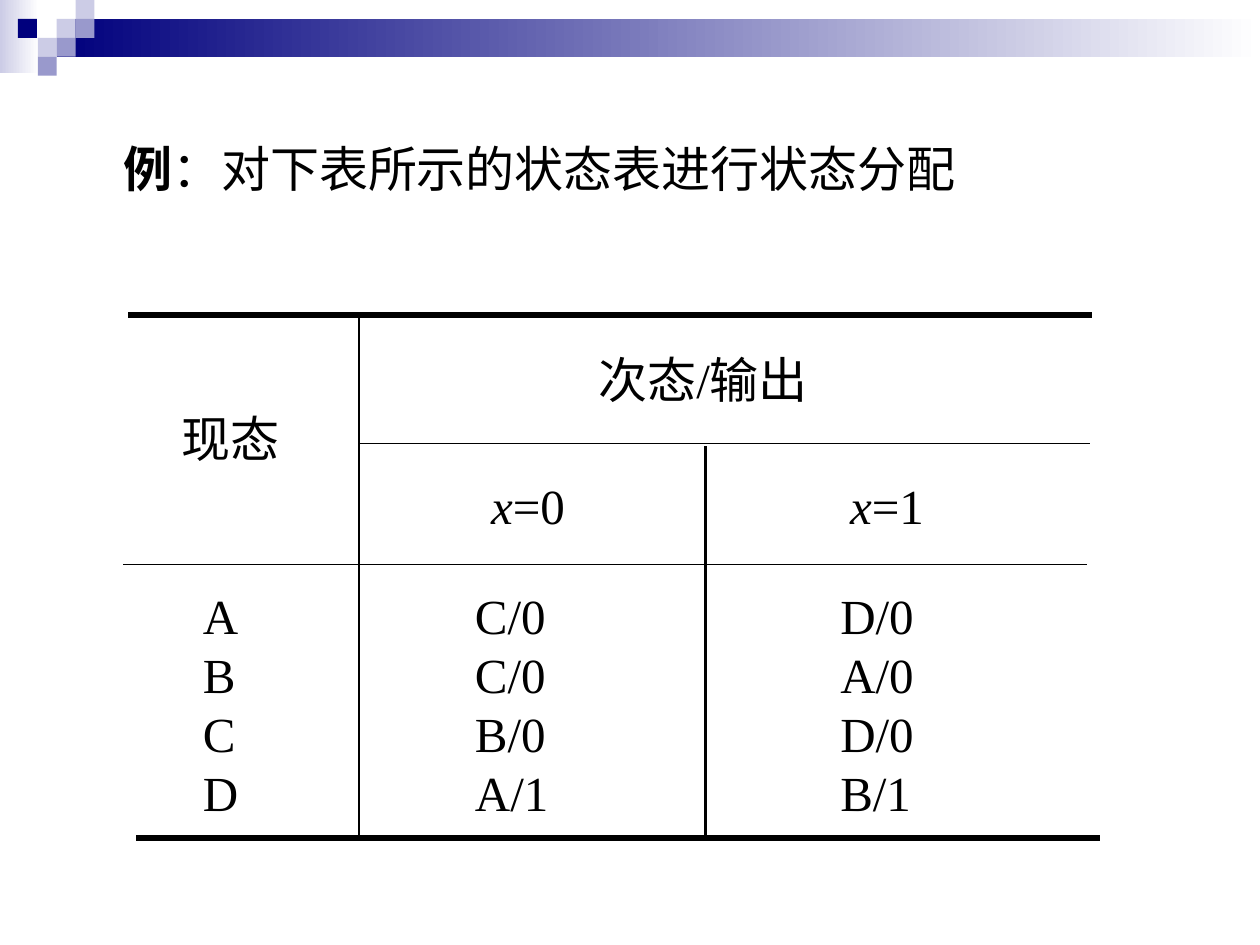
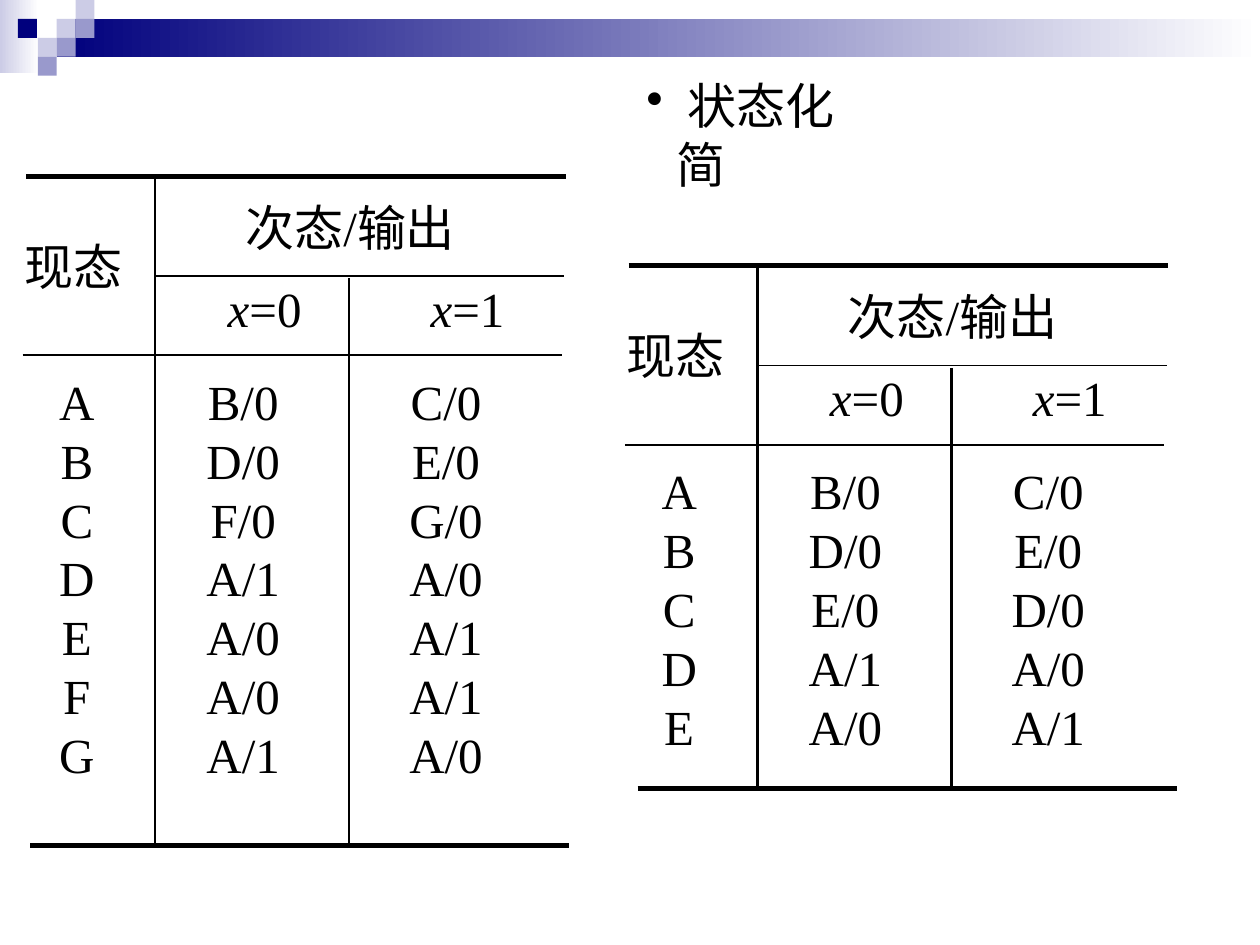
import itertools

import pptx
import pptx.dml.color
import pptx.enum.shapes
import pptx.enum.text
import pptx.oxml
import pptx.oxml.ns
import pptx.util

# Content: a run is (text, extra font format)
COLOURS = {"ink": "000000", "navy": "00007D", "mid": "9999CC", "pale": "CCCCE6", "white": "FFFFFF"}
FONT = {"name": "Times New Roman", "size": pptx.util.Pt(28), "bold": False}

EXAMPLE_TITLE = [("例", {"bold": True}), ("：对下表所示的状态表进行状态分配", {})]
REDUCTION_TITLE = [(" 状态化简", {})]

PRESENT, NEXT = [("现态", {})], [("次态/输出", {})]
INPUTS = [[("x", {"italic": True}), (f"={value}", {})] for value in (0, 1)]

ASSIGNED_STATES = [("A", "C/0", "D/0"), ("B", "C/0", "A/0"), ("C", "B/0", "D/0"), ("D", "A/1", "B/1")]
FULL_STATES = [
    ("A", "B/0", "C/0"), ("B", "D/0", "E/0"), ("C", "F/0", "G/0"), ("D", "A/1", "A/0"),
    ("E", "A/0", "A/1"), ("F", "A/0", "A/1"), ("G", "A/1", "A/0"),
]
REDUCED_STATES = [
    ("A", "B/0", "C/0"), ("B", "D/0", "E/0"), ("C", "E/0", "D/0"), ("D", "A/1", "A/0"),
    ("E", "A/0", "A/1"),
]

# Table grids in inches: "centres" holds text centres, "starts" holds left text edges,
# "pads" holds the space below the two headings and above and below the inputs
WIDE_GRID = {
    "columns": (1.87, 2.75, 3.03), "headers": (1.02, 0.96), "lead": 0.21, "top_shift": 0.04,
    "pads": {"present": 0.06, "next": 0.04, "above": 0.06, "below": 0},
    "present": 0.85, "next": 4.6, "inputs": (3.21, 6.06), "starts": (0.63, 2.79, 5.69),
}
NARROW_GRID = {
    "columns": (1.05, 1.54, 1.69), "headers": (0.79, 0.63), "lead": 0.17, "top_shift": 0.03,
    "pads": {"present": 0.03, "next": 0.02, "above": 0, "below": 0.08},
    "present": 0.4, "next": 2.6, "inputs": (1.92, 3.53), "centres": (0.43, 1.75, 3.36),
}
LINE_STEP = 0.467
RULE_GAP = 0.02
RULES = {"outer": 3, "upright": 1.5, "inner": 1}

# Corner pattern on a square grid: column, row, colour
TILE = 0.15
BANDS = [((0, 0, 0.31, 0.58), "pale"), ((3 * TILE, TILE, 10 - 3 * TILE, 2 * TILE), "navy")]
TILES = [(3, 1, "pale"), (4, 0, "pale"), (4, 1, "mid"), (2, 2, "pale"),
         (0.95, 1, "navy"), (3, 2, "mid"), (2, 3, "mid")]

inch = pptx.util.Inches


def rgb(colour):
    return pptx.dml.color.RGBColor.from_string(COLOURS[colour])


def apply(target, formats):
    for attribute, value in formats.items():
        setattr(target, attribute, value)


def write(paragraph, runs):
    for text, extra in runs:
        run = paragraph.add_run()
        run.text = text
        apply(run.font, {**FONT, **extra})
        run.font.color.rgb = rgb("ink")


def add_band(slide, layout, box, colour, fades=False):
    band = slide.shapes.add_shape(pptx.enum.shapes.MSO_SHAPE.RECTANGLE, *map(inch, box))
    band.shadow.inherit = False
    band.line.fill.background()
    if fades:
        band.fill.gradient()
        band.fill.gradient_angle = 0
        for stop, shade in zip(band.fill.gradient_stops, (colour, "white")):
            stop.color.rgb = rgb(shade)
    else:
        band.fill.solid()
        band.fill.fore_color.rgb = rgb(colour)
    layout.shapes.element.append(band.element)  # shared by every slide of the layout


def add_title(slide, runs, box, bullet_indent=0):
    title = slide.shapes.title
    apply(title, dict(zip(("left", "top", "width", "height"), map(inch, box))))
    apply(title.text_frame, {
        "word_wrap": True,
        "auto_size": pptx.enum.text.MSO_AUTO_SIZE.NONE,
        "vertical_anchor": pptx.enum.text.MSO_ANCHOR.TOP,
    })
    paragraph = title.text_frame.paragraphs[0]
    paragraph.alignment = pptx.enum.text.PP_ALIGN.LEFT
    if bullet_indent:
        properties = paragraph._p.get_or_add_pPr()
        properties.set("marL", str(inch(bullet_indent)))
        properties.set("indent", str(-inch(bullet_indent)))
        properties.append(pptx.oxml.parse_xml(
            f'<a:buChar {pptx.oxml.ns.nsdecls("a")} char="•"/>'))
    write(paragraph, runs)


def add_rule(slide, kind, start, end):
    rule = slide.shapes.add_connector(pptx.enum.shapes.MSO_CONNECTOR.STRAIGHT,
                                      *map(inch, (*start, *end)))
    rule.line.width = pptx.util.Pt(RULES[kind])
    rule.line.color.rgb = rgb("ink")
    rule.element.spPr.append(pptx.oxml.parse_xml(
        f'<a:effectLst {pptx.oxml.ns.nsdecls("a")}/>'))


def clear_cell(cell):
    """No fill and no borders: the rules are drawn on their own, slightly staggered."""
    cell.fill.background()
    properties = cell._tc.get_or_add_tcPr()
    for place, side in enumerate("LRTB"):
        properties.insert(place, pptx.oxml.parse_xml(
            f'<a:ln{side} {pptx.oxml.ns.nsdecls("a")} w="0"><a:noFill/></a:ln{side}>'))


def fill_cell(cell, runs, edges, centre=None, start=None, top=0, bottom=0, anchor="MIDDLE"):
    """Margins put the text at the centre or the start asked for."""
    left, right = edges
    if start is None:
        shift = 2 * centre - left - right
        margins, align = (max(shift, 0), max(-shift, 0)), "CENTER"
    else:
        margins, align = (start - left, 0), "LEFT"
    apply(cell, {
        "margin_left": inch(margins[0]), "margin_right": inch(margins[1]),
        "margin_top": inch(top), "margin_bottom": inch(bottom),
        "vertical_anchor": getattr(pptx.enum.text.MSO_ANCHOR, anchor),
    })
    paragraph = cell.text_frame.paragraphs[0]
    paragraph.alignment = getattr(pptx.enum.text.PP_ALIGN, align)
    write(paragraph, runs)


def add_state_table(slide, states, grid, left, top, bottom, bottom_shift):
    heights = list(grid["headers"]) + [LINE_STEP] * len(states)
    heights[2] += grid["lead"]
    heights[-1] += bottom - top - sum(heights)
    edges = [0, *itertools.accumulate(grid["columns"])]
    pads = grid["pads"]

    # Rules
    first, second, right = [left + edge for edge in edges[1:]]
    input_top = top + heights[0]
    state_top = input_top + heights[1]
    for level, shift, kind in ((top, grid["top_shift"], "outer"), (bottom, bottom_shift, "outer"),
                               (state_top, 0, "inner")):
        add_rule(slide, kind, (left + shift, level), (right + shift, level))
    add_rule(slide, "inner", (first, input_top), (right + RULE_GAP, input_top))
    add_rule(slide, "upright", (first, top), (first, bottom))
    add_rule(slide, "upright", (second, input_top + RULE_GAP), (second, bottom))

    # Grid
    table = slide.shapes.add_table(len(heights), 3, inch(left), inch(top),
                                   inch(edges[-1]), inch(bottom - top)).table
    apply(table, {"first_row": False, "horz_banding": False})
    for column, width in zip(table.columns, grid["columns"]):
        column.width = inch(width)
    for row, height in zip(table.rows, heights):
        row.height = inch(height)
    for cell in table.iter_cells():
        clear_cell(cell)

    # Headings
    table.cell(0, 0).merge(table.cell(1, 0))
    table.cell(0, 1).merge(table.cell(0, 2))
    fill_cell(table.cell(0, 0), PRESENT, edges[:2], grid["present"], bottom=pads["present"])
    fill_cell(table.cell(0, 1), NEXT, (edges[1], edges[3]), grid["next"], bottom=pads["next"])
    for column, (label, centre) in enumerate(zip(INPUTS, grid["inputs"]), 1):
        fill_cell(table.cell(1, column), label, edges[column:column + 2], centre,
                  top=pads["above"], bottom=pads["below"])

    # States
    mode = "starts" if "starts" in grid else "centres"
    for row, state in enumerate(states, 2):
        for column, (entry, place) in enumerate(zip(state, grid[mode])):
            fill_cell(table.cell(row, column), [(entry, {})], edges[column:column + 2],
                      **{mode[:-1]: place}, top=grid["lead"] if row == 2 else 0, anchor="TOP")


def main():
    deck = pptx.Presentation()
    apply(deck, {"slide_width": inch(10), "slide_height": inch(7.5)})
    layout = deck.slide_layouts.get_by_name("Title Only")
    for placeholder in list(layout.placeholders)[1:]:
        layout.shapes.element.remove(placeholder.element)
    example, reduction = [deck.slides.add_slide(layout) for _ in range(2)]

    # Shared corner pattern
    for box, colour in BANDS:
        add_band(example, layout, box, colour, fades=True)
    for column, row, colour in TILES:
        add_band(example, layout, (column * TILE, row * TILE, TILE, TILE), colour)

    # State assignment example
    add_title(example, EXAMPLE_TITLE, (0.88, 1.05, 7.2, 0.57))
    add_state_table(example, ASSIGNED_STATES, WIDE_GRID, 0.98, 2.5, 6.65, bottom_shift=0.1)

    # State reduction, before and after
    add_title(reduction, REDUCTION_TITLE, (5.03, 0.55, 1.99, 1.04), bullet_indent=0.24)
    add_state_table(reduction, FULL_STATES, NARROW_GRID, 0.18, 1.4, 6.71, bottom_shift=0.06)
    add_state_table(reduction, REDUCED_STATES, NARROW_GRID, 4.96, 2.11, 6.26, bottom_shift=0.1)

    deck.save("out.pptx")


if __name__ == "__main__":
    main()
